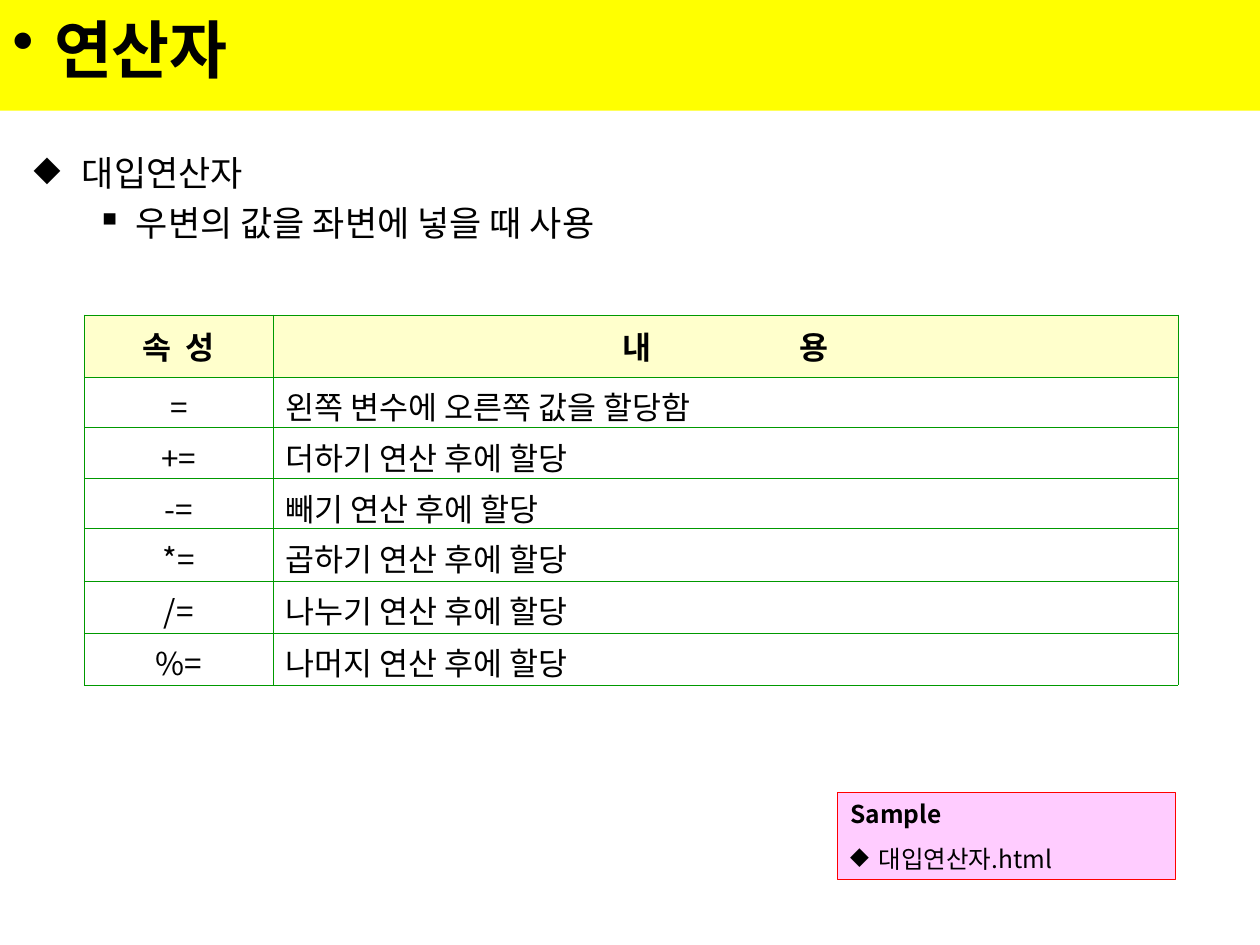
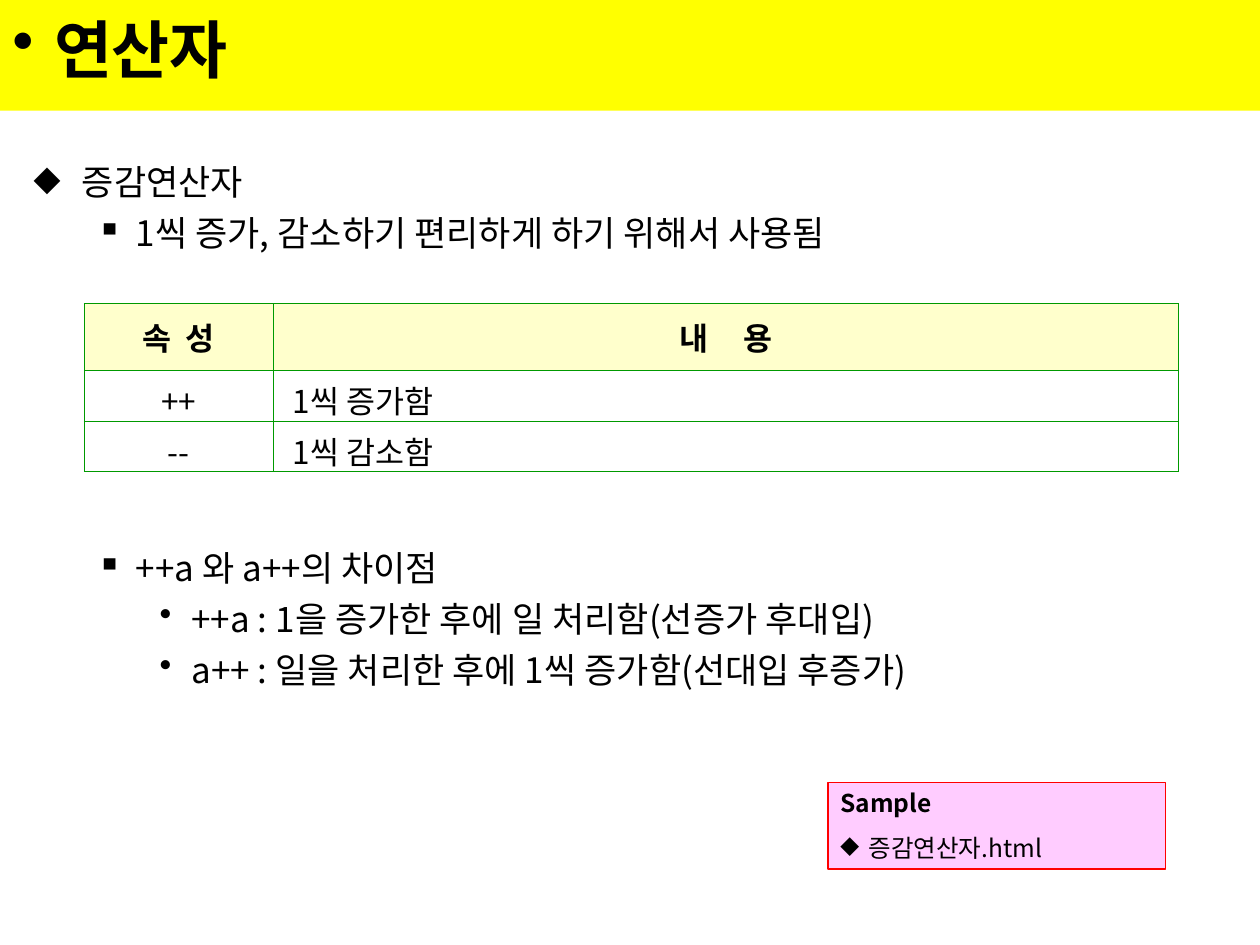
from dataclasses import dataclass

from lxml import etree
from pptx import Presentation
from pptx import util as u
from pptx.dml.color import RGBColor
from pptx.enum import shapes, text
from pptx.oxml.ns import qn

FONT = "Noto Sans CJK KR"
BLACK, YELLOW, CREAM = "000000", "FFFF00", "FFFFCC"
PINK, RED, GREEN = "FFCCFF", "FF0000", "009900"
HEADER_ATTRIBUTE = "속 성"


@dataclass
class Style:
    size: float
    bold: bool = False
    bullet: str = ""
    margin: float = 0
    indent: float = 0
    before: float = 0
    align: text.PP_ALIGN = text.PP_ALIGN.LEFT


TITLE = Style(36, True, "•", 0.84, -0.84)
TOPIC = Style(20, bullet="◆", margin=0.97, indent=-0.97)
POINT = Style(20, bullet="▪", margin=2.06, indent=-0.79, before=5)
POINT_BELOW_TABLE = Style(20, bullet="▪", margin=2.06, indent=-0.79, before=167.5)
DETAIL = Style(20, bullet="•", margin=3.18, indent=-0.64, before=5)
SAMPLE_HEAD = Style(14, True)
SAMPLE_FILE = Style(14, bullet="◆", margin=0.57, indent=-0.57, before=8.8)
HEADER = Style(18, True, align=text.PP_ALIGN.CENTER)
OPERATOR = Style(18, align=text.PP_ALIGN.CENTER)


@dataclass
class OperatorSlide:
    body_top: float
    body: list[tuple[str, Style]]
    table_top: float
    row_heights: list[float]
    header_spread: float
    meaning_margin: float
    meanings: dict[str, str]
    sample_at: tuple[float, float]
    sample_file: str


SLIDES = [
    OperatorSlide(
        2.92,
        [("대입연산자", TOPIC), ("우변의 값을 좌변에 넣을 때 사용", POINT)],
        6.35, [1.25] + [1.02] * 3 + [1.05] * 3, 40.3, 0,
        {
            "=": "왼쪽 변수에 오른쪽 값을 할당함",
            "+=": "더하기 연산 후에 할당",
            "-=": "빼기 연산 후에 할당",
            "*=": "곱하기 연산 후에 할당",
            "/=": "나누기 연산 후에 할당",
            "%=": "나머지 연산 후에 할당",
        },
        (16.89, 15.98), "대입연산자.html",
    ),
    OperatorSlide(
        3.12,
        [
            ("증감연산자", TOPIC),
            ("1씩 증가, 감소하기 편리하게 하기 위해서 사용됨", POINT),
            ("++a 와 a++의 차이점", POINT_BELOW_TABLE),
            ("++a : 1을 증가한 후에 일 처리함(선증가 후대입)", DETAIL),
            ("a++ : 일을 처리한 후에 1씩 증가함(선대입 후증가)", DETAIL),
        ],
        6.12, [1.35] + [1.02] * 2, 8, 0.14,
        {"++": "1씩 증가함", "--": "1씩 감소함"},
        (16.69, 15.77), "증감연산자.html",
    ),
]


def rgb(color: str) -> RGBColor:
    return RGBColor.from_string(color)


def set_fill(target, color: str) -> None:
    target.fill.solid()
    target.fill.fore_color.rgb = rgb(color)


def add_run(p, content: str, style: Style, spread: float = 0) -> None:
    """Add a run; spread is extra letter spacing in points."""
    r = p.add_run()
    r.text = content
    for name, value in {"size": u.Pt(style.size), "bold": style.bold, "name": FONT}.items():
        setattr(r.font, name, value)
    r.font.color.rgb = rgb(BLACK)
    rPr = r.font._element
    etree.SubElement(rPr, qn("a:ea"), typeface=FONT)
    if spread:
        rPr.set("spc", str(round(spread * 100)))


def format_paragraph(p, style: Style) -> None:
    p.alignment = style.align
    if style.before:
        p.space_before = u.Pt(style.before)
    pPr = p._p.get_or_add_pPr()
    pPr.set("marL", str(u.Cm(style.margin)))
    pPr.set("indent", str(u.Cm(style.indent)))
    if style.bullet:
        color = etree.SubElement(pPr, qn("a:buClr"))
        etree.SubElement(color, qn("a:srgbClr"), val=BLACK)
        etree.SubElement(pPr, qn("a:buChar"), char=style.bullet)
    else:
        etree.SubElement(pPr, qn("a:buNone"))


def write(tf, lines: list[tuple[str, Style]], anchor=text.MSO_ANCHOR.TOP) -> None:
    tf.word_wrap = True
    tf.vertical_anchor = anchor
    for i, (content, style) in enumerate(lines):
        p = tf.add_paragraph() if i else tf.paragraphs[0]
        format_paragraph(p, style)
        add_run(p, content, style)


def add_box(s, box: tuple[float, ...], fill: str, line: str = ""):
    sp = s.shapes.add_shape(shapes.MSO_SHAPE.RECTANGLE, *map(u.Cm, box))
    sp.shadow.inherit = False
    set_fill(sp, fill)
    if line:
        sp.line.color.rgb = rgb(line)
        sp.line.width = u.Pt(0.75)
    else:
        sp.line.fill.background()
    return sp


def add_borders(cell) -> None:
    tcPr = cell._tc.get_or_add_tcPr()
    for i, side in enumerate(("lnL", "lnR", "lnT", "lnB")):
        ln = etree.Element(qn(f"a:{side}"), w=str(u.Pt(0.45)))
        fill = etree.SubElement(ln, qn("a:solidFill"))
        etree.SubElement(fill, qn("a:srgbClr"), val=GREEN)
        tcPr.insert(i, ln)


def fill_cell(cell, content: str, style: Style, spread: float = 0) -> None:
    """Fill a table cell; spread widens the gap between two header syllables."""
    cell.vertical_anchor = text.MSO_ANCHOR.MIDDLE
    p = cell.text_frame.paragraphs[0]
    format_paragraph(p, style)
    if spread:
        add_run(p, content[:-1], style, spread)
        add_run(p, content[-1], style)
        set_fill(cell, CREAM)
    else:
        add_run(p, content, style)
        cell.fill.background()
    add_borders(cell)


def add_operator_table(s, data: OperatorSlide) -> None:
    widths = (3.81, 18.24)
    box = (1.7, data.table_top, sum(widths), sum(data.row_heights))
    table = s.shapes.add_table(len(data.row_heights), 2, *map(u.Cm, box)).table
    for column, width in zip(table.columns, widths):
        column.width = u.Cm(width)
    for row, height in zip(table.rows, data.row_heights):
        row.height = u.Cm(height)
    fill_cell(table.cell(0, 0), HEADER_ATTRIBUTE, HEADER, 2)
    fill_cell(table.cell(0, 1), "내 용", HEADER, data.header_spread)
    meaning_style = Style(18, margin=data.meaning_margin)
    for i, (operator, meaning) in enumerate(data.meanings.items(), 1):
        fill_cell(table.cell(i, 0), operator, OPERATOR)
        fill_cell(table.cell(i, 1), meaning, meaning_style)


def add_operator_slide(prs, data: OperatorSlide) -> None:
    s = prs.slides.add_slide(prs.slide_layouts[6])
    body = s.shapes.add_textbox(*map(u.Cm, (0.43, data.body_top, 24.56, 15.04)))
    write(body.text_frame, data.body)
    add_operator_table(s, data)
    sample = add_box(s, (*data.sample_at, 6.81, 1.75), PINK, RED)
    write(sample.text_frame, [("Sample", SAMPLE_HEAD), (data.sample_file, SAMPLE_FILE)])
    band = add_box(s, (0, -0.28, 25.4, 2.51), YELLOW)
    write(band.text_frame, [("연산자", TITLE)], text.MSO_ANCHOR.MIDDLE)


def main() -> None:
    prs = Presentation()
    prs.slide_width, prs.slide_height = u.Cm(25.4), u.Cm(19.05)
    for data in SLIDES:
        add_operator_slide(prs, data)
    prs.save("out.pptx")


if __name__ == "__main__":
    main()
